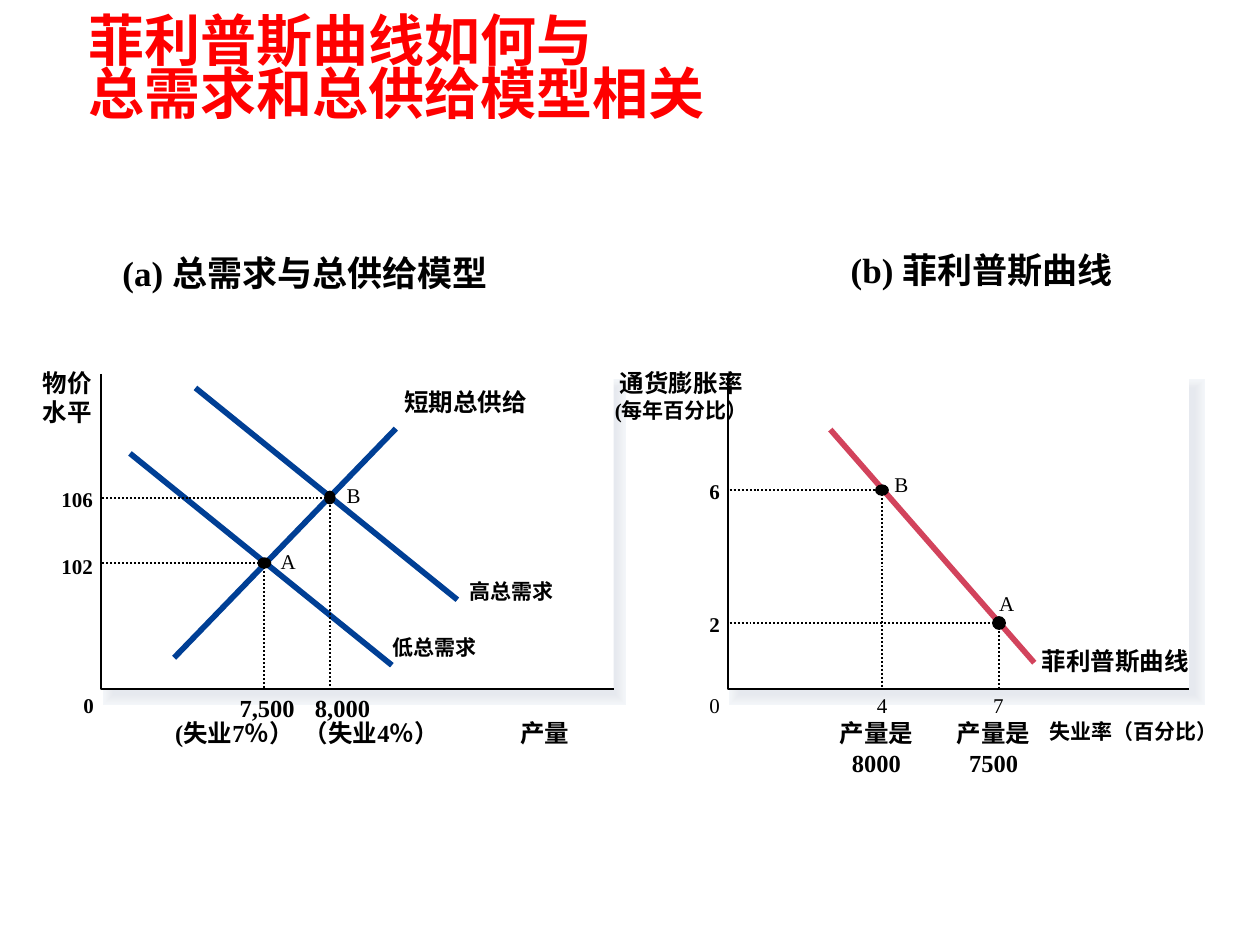
from lxml import etree
from pptx import Presentation
from pptx.dml.color import RGBColor
from pptx.enum.dml import MSO_LINE
from pptx.enum.shapes import MSO_CONNECTOR, MSO_SHAPE
from pptx.enum.text import MSO_ANCHOR, MSO_AUTO_SIZE, PP_ALIGN
from pptx.oxml.ns import qn
from pptx.util import Cm, Pt

LEFT, CENTER = PP_ALIGN.LEFT, PP_ALIGN.CENTER
MIDDLE, TOP = MSO_ANCHOR.MIDDLE, MSO_ANCHOR.TOP
FIT_SHAPE = MSO_AUTO_SIZE.SHAPE_TO_FIT_TEXT
NO_FIT = MSO_AUTO_SIZE.NONE
STRAIGHT = MSO_CONNECTOR.STRAIGHT
RECTANGLE, OVAL = MSO_SHAPE.RECTANGLE, MSO_SHAPE.OVAL
DOTTED = MSO_LINE.ROUND_DOT

LATIN_FONT, CHINESE_FONT = "Times New Roman", "Noto Sans CJK SC"
BLACK, WHITE, RED = "000000", "FFFFFF", "FF0000"
BLUE, ROSE = "003F95", "D2435C"
SHADOW_COLOURS = ["F3F6F9", "F2F4F8", "F1F4F7", "F0F2F5", "EEF1F4", "EDEFF3",
                  "EBEEF2", "EAECF1", "E9EBF0", "E7EAEF", "E6E9EF"]
AXIS_TOP, AXIS_BOTTOM = 7.54, 13.89
THIN, THICK = 1.13, 3.25


def colour(hex_string):
    return RGBColor.from_string(hex_string)


def add_text(slide, text, left, top, width, height=None, size=12, sizes=None, bold=True,
             hex_colour=BLACK, font=LATIN_FONT, align=LEFT, anchor=TOP, wrap=False,
             inset=0, spacing=None, fill=None, fit=FIT_SHAPE):
    """Add a text box; each line of text is a paragraph, sizes gives one size per line."""
    lines = text.split("\n")
    sizes = sizes or [size] * len(lines)
    height = height or sum(sizes) * 0.0425
    box = slide.shapes.add_textbox(Cm(left), Cm(top), Cm(width), Cm(height))
    if fill:
        box.fill.solid()
        box.fill.fore_color.rgb = colour(fill)
    frame = box.text_frame
    frame.word_wrap = wrap
    frame.auto_size = fit
    frame.vertical_anchor = anchor
    frame.margin_left = frame.margin_right = Cm(inset)
    frame.margin_top = frame.margin_bottom = Cm(inset / 2)
    for index, (line, line_size) in enumerate(zip(lines, sizes)):
        paragraph = frame.paragraphs[0] if index == 0 else frame.add_paragraph()
        paragraph.text = line
        paragraph.alignment = align
        if spacing:
            paragraph.line_spacing = spacing
        for run in paragraph.runs:
            run.font.size = Pt(line_size)
            run.font.bold = bold
            run.font.name = font
            run.font.color.rgb = colour(hex_colour)
            east_asian = etree.SubElement(run.font._element, qn("a:ea"))
            east_asian.set("typeface", CHINESE_FONT)


def add_shape(slide, kind, left, top, width, height, fill, line_width=None):
    """Add a filled shape; an outline, if any, has the fill colour and square corners."""
    shape = slide.shapes.add_shape(kind, Cm(left), Cm(top), Cm(width), Cm(height))
    shape.shadow.inherit = False
    shape.fill.solid()
    shape.fill.fore_color.rgb = colour(fill)
    if line_width:
        format_line(shape.line, fill, line_width)
        miter = etree.SubElement(shape.line._get_or_add_ln(), qn("a:miter"))
        miter.set("lim", "800000")
    else:
        shape.line.fill.background()


def format_line(line, hex_colour, width, dash=None):
    line.color.rgb = colour(hex_colour)
    line.width = Pt(width)
    if dash:
        line.dash_style = dash


def add_line(slide, start, end, hex_colour=BLACK, width=THIN, dash=None):
    connector = slide.shapes.add_connector(STRAIGHT, *map(Cm, start + end))
    etree.SubElement(connector._element.spPr, qn("a:effectLst"))
    format_line(connector.line, hex_colour, width, dash)


def add_polyline(slide, points, dash=None):
    start, *rest = [(Cm(x), Cm(y)) for x, y in points]
    builder = slide.shapes.build_freeform(*start)
    builder.add_line_segments(rest, close=False)
    shape = builder.convert_to_shape()
    shape.shadow.inherit = False
    shape.fill.background()
    format_line(shape.line, BLACK, THIN, dash)


def add_plot_area(slide, left, width, shadow_left, shadow_width):
    """Draw a soft shadow, the white plot area and its two axes."""
    for step, shade in enumerate(SHADOW_COLOURS):
        add_shape(slide, RECTANGLE, shadow_left, 7.85, shadow_width, 6.15, shade,
                  line_width=round(12.13 - 1.1 * step, 2))
    add_shape(slide, RECTANGLE, left, AXIS_TOP, width, AXIS_BOTTOM - AXIS_TOP, WHITE)
    add_polyline(slide, [(left, AXIS_TOP), (left, AXIS_BOTTOM), (left + width, AXIS_BOTTOM)])


def add_point(slide, axis, x, y, width, height, bent=False):
    """Mark a point with dotted guides to both axes."""
    start, corner, end = (axis, y), (x, y), (x, AXIS_BOTTOM)
    if bent:
        add_polyline(slide, [start, corner, end], DOTTED)
    else:
        add_line(slide, start, corner, dash=DOTTED)
        add_line(slide, corner, end, dash=DOTTED)
    add_shape(slide, OVAL, x - width / 2, y - height / 2, width, height, BLACK)


def add_supply_demand_panel(slide):
    add_text(slide, "(a) 总需求与总供给模型", 2.47, 5.08, 7.54, size=20)
    add_line(slide, (3.51, 13.26), (7.98, 8.64), BLUE, THICK)
    for shift in (0, 1.32):
        add_line(slide, (2.62 + shift, 9.14 - shift), (7.9 + shift, 13.41 - shift), BLUE, THICK)
    add_point(slide, 2.06, 6.65, 10.03, 0.23, 0.28)
    add_point(slide, 2.06, 5.33, 11.35, 0.28, 0.23)
    add_text(slide, "B", 6.99, 9.73, 0.28, bold=False)
    add_text(slide, "A", 5.66, 11.05, 0.3, bold=False)
    add_text(slide, "物价\n水平", 0.86, 7.42, 0.99, size=14)
    add_text(slide, "106", 1.24, 9.8, 0.64)
    add_text(slide, "102", 1.24, 11.15, 0.64)
    add_text(slide, "0", 1.68, 13.97, 0.2)
    add_text(slide, "短期总供给", 8.15, 7.8, 2.49, size=14)
    add_text(slide, "高总需求", 9.46, 11.66, 1.7)
    add_text(slide, "低总需求", 7.91, 12.8, 1.7)
    add_text(slide, "7,500", 4.83, 13.97, 1.12, size=14)
    add_text(slide, "8,000", 6.35, 13.97, 1.12, size=14)
    add_text(slide, "(失业7％）", 3.53, 14.48, 2.77, size=14)
    add_text(slide, "（失业4％）", 6.12, 14.48, 2.97, size=14)
    add_text(slide, "产量", 10.49, 14.48, 0.99, size=14)


def add_phillips_panel(slide):
    add_text(slide, "(b) 菲利普斯曲线", 17.15, 5, 5.77, size=20, wrap=True)
    add_line(slide, (16.74, 8.66), (20.85, 13.36), ROSE, THICK)
    add_point(slide, 14.71, 17.78, 9.88, 0.28, 0.23)
    add_point(slide, 14.71, 20.14, 12.56, 0.28, 0.28, bent=True)
    add_text(slide, "B", 18.03, 9.5, 0.28, bold=False)
    add_text(slide, "A", 20.14, 11.91, 0.3, bold=False)
    add_text(slide, "通货膨胀率\n(每年百分比）", 12.07, 7.42, 3.33, sizes=[14, 12],
             align=CENTER, wrap=True)
    add_text(slide, "6", 14.3, 9.65, 0.2)
    add_text(slide, "2", 14.3, 12.32, 0.2)
    add_text(slide, "菲利普斯曲线", 21, 13.03, 3.2, size=14, wrap=True)
    for number, left in (("0", 14.3), ("4", 17.68), ("7", 20.02)):
        add_text(slide, number, left, 13.97, 0.2, bold=False)
    for output, left in (("8000", 16.92), ("7500", 19.28)):
        add_text(slide, f"产量是\n{output}", left, 14.48, 1.5, size=14, align=CENTER)
    add_text(slide, "失业率（百分比）", 21.16, 14.48, 3.7, wrap=True)


def main():
    presentation = Presentation()
    presentation.slide_width, presentation.slide_height = Cm(25.4), Cm(19.05)
    slide = presentation.slides.add_slide(presentation.slide_layouts[6])
    add_text(slide, "菲利普斯曲线如何与\v总需求和总供给模型相关", 1.54, 0.32, 13.77, 2.26,
             size=32, hex_colour=RED, font=CHINESE_FONT, anchor=MIDDLE, wrap=True,
             inset=0.25, spacing=0.8, fill=WHITE, fit=NO_FIT)
    add_plot_area(slide, 2.03, 10.34, 2.29, 10.11)
    add_plot_area(slide, 14.67, 9.3, 14.91, 9.17)
    add_supply_demand_panel(slide)
    add_phillips_panel(slide)
    presentation.save("out.pptx")


if __name__ == "__main__":
    main()
